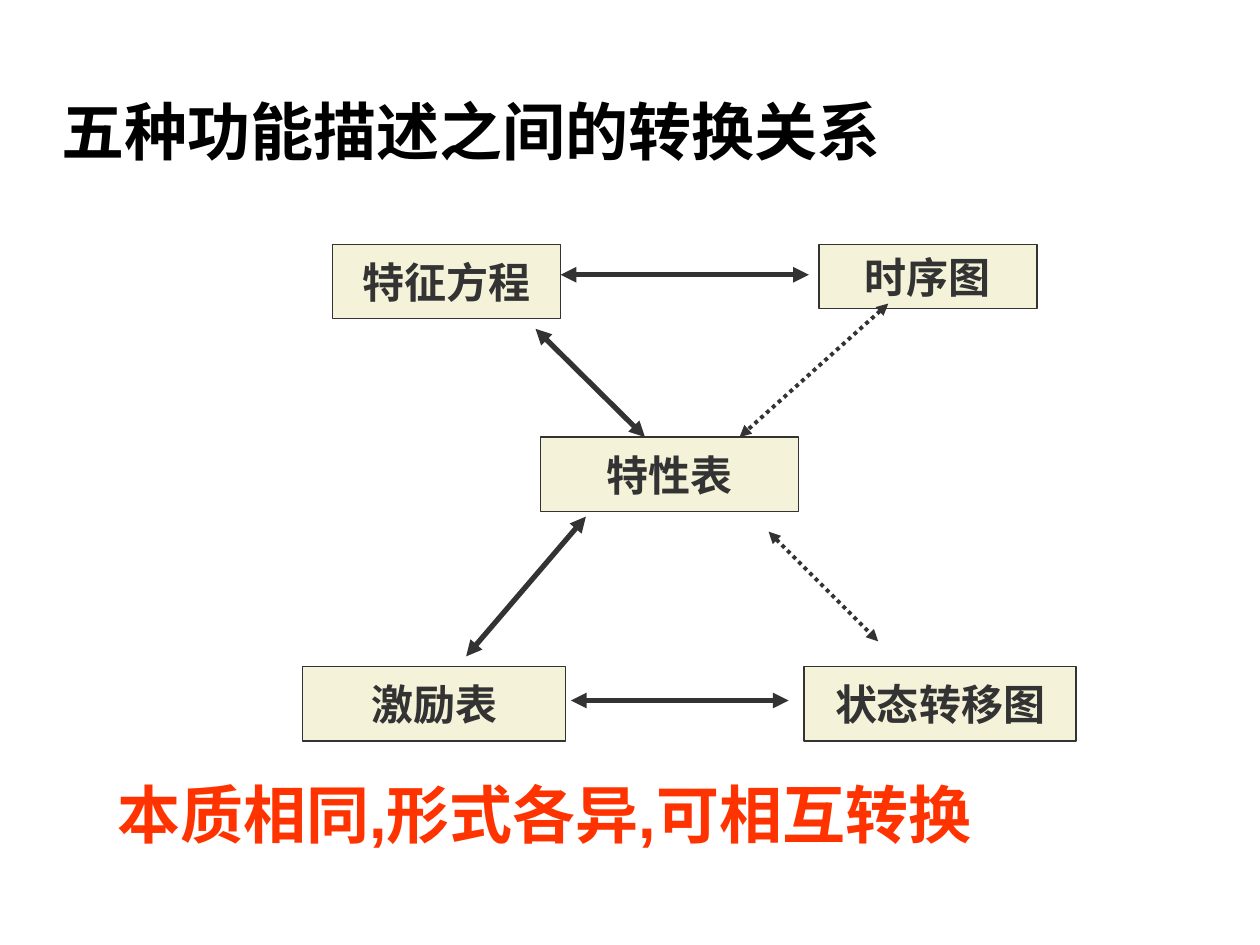
"""Draw the conversions between five ways to describe a function."""
from dataclasses import dataclass
from typing import NamedTuple

from lxml import etree
from pptx import Presentation
from pptx import util as u
from pptx.dml.color import RGBColor
from pptx.enum import dml, shapes, text
from pptx.oxml import ns


@dataclass(frozen=True)
class Theme:
    ink: str = "333333"
    black: str = "000000"
    red: str = "FF3300"
    cream: str = "F4F3D9"
    white: str = "FFFFFF"
    sans: str = "Arial"
    serif: str = "Times New Roman"
    big: float = 36
    mid: float = 24
    edge: float = 0.75
    bold: float = 3
    thin: float = 2.25


class Node(NamedTuple):
    label: str
    left: float
    top: float
    width: float
    height: float = 42.5


class Link(NamedTuple):
    x1: float
    y1: float
    x2: float
    y2: float
    dots: bool = False


LOOK = Theme()
NODES = [
    Node("特征方程", 190, 139.7, 130.3),
    Node("特性表", 308.9, 249.8, 147.6),
    Node("时序图", 468, 139.7, 124.6, 36.7),
    Node("激励表", 172.8, 380.9, 150.5),
    Node("状态转移图", 459.4, 380.9, 155.5),
]
LINKS = [
    Link(306, 187.9, 368.6, 249.8),
    Link(439.2, 303.8, 501.8, 366.5, True),
    Link(334.8, 295.2, 266.4, 375.1),
    Link(507.6, 173.5, 422.6, 249.8, True),
    Link(326.2, 400.3, 450.7, 400.3),
    Link(320.4, 157, 462.2, 157),
]


def write(shape, words: str, *, size: float, color: str, font: str,
          align=text.PP_ALIGN.LEFT, anchor=text.MSO_ANCHOR.MIDDLE,
          wrap: bool = True) -> None:
    frame = shape.text_frame
    frame.word_wrap = wrap
    frame.vertical_anchor = anchor
    para = frame.paragraphs[0]
    para.alignment = align
    run = para.add_run()
    run.text = words
    run.font.size = u.Pt(size)
    run.font.name = font
    run.font.bold = True
    run.font.color.rgb = RGBColor.from_string(color)


def box(slide, node: Node, fill: str, line: str = ""):
    shape = slide.shapes.add_shape(
        shapes.MSO_SHAPE.RECTANGLE, *map(u.Pt, node[1:]))
    shape.shadow.inherit = False
    shape.fill.solid()
    shape.fill.fore_color.rgb = RGBColor.from_string(fill)
    if line:
        shape.line.color.rgb = RGBColor.from_string(line)
        shape.line.width = u.Pt(LOOK.edge)
    else:
        shape.line.fill.background()
    return shape


def join(slide, link: Link) -> None:
    wire = slide.shapes.add_connector(
        shapes.MSO_CONNECTOR.STRAIGHT, *map(u.Pt, link[:4]))
    wire.line.color.rgb = RGBColor.from_string(LOOK.ink)
    wire.line.width = u.Pt(LOOK.thin if link.dots else LOOK.bold)
    if link.dots:
        wire.line.dash_style = dml.MSO_LINE.ROUND_DOT
    props = wire.element.spPr
    stroke = props.find(ns.qn("a:ln"))
    for end in ("a:headEnd", "a:tailEnd"):
        etree.SubElement(stroke, ns.qn(end), type="triangle")
    etree.SubElement(props, ns.qn("a:effectLst"))


def main() -> None:
    deck = Presentation()
    deck.slide_width, deck.slide_height = u.Pt(720), u.Pt(540)
    slide = deck.slides.add_slide(deck.slide_layouts[6])

    title = slide.shapes.add_textbox(*map(u.Pt, (28.1, 43.2, 575.3, 62.6)))
    write(title, "五种功能描述之间的转换关系",
          size=LOOK.big, color=LOOK.black, font=LOOK.sans)

    for node in NODES:
        write(box(slide, node, LOOK.cream, LOOK.ink), node.label,
              size=LOOK.mid, color=LOOK.ink, font=LOOK.serif,
              align=text.PP_ALIGN.CENTER, wrap=False)

    note = Node("本质相同,形式各异,可相互转换", 59.8, 439.9, 575.3, 62.6)
    write(box(slide, note, LOOK.white), note.label,
          size=LOOK.big, color=LOOK.red, font=LOOK.sans,
          anchor=text.MSO_ANCHOR.TOP)

    for link in LINKS:
        join(slide, link)
    deck.save("out.pptx")


if __name__ == "__main__":
    main()
